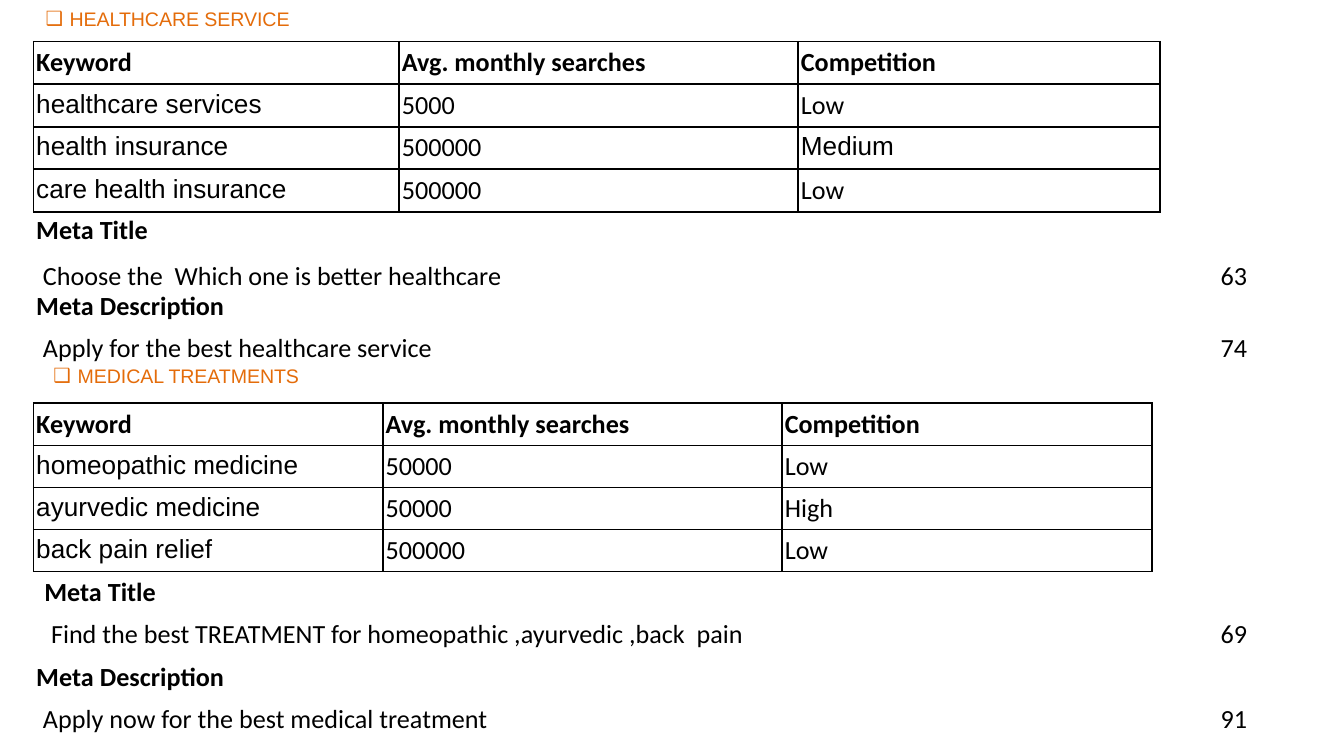
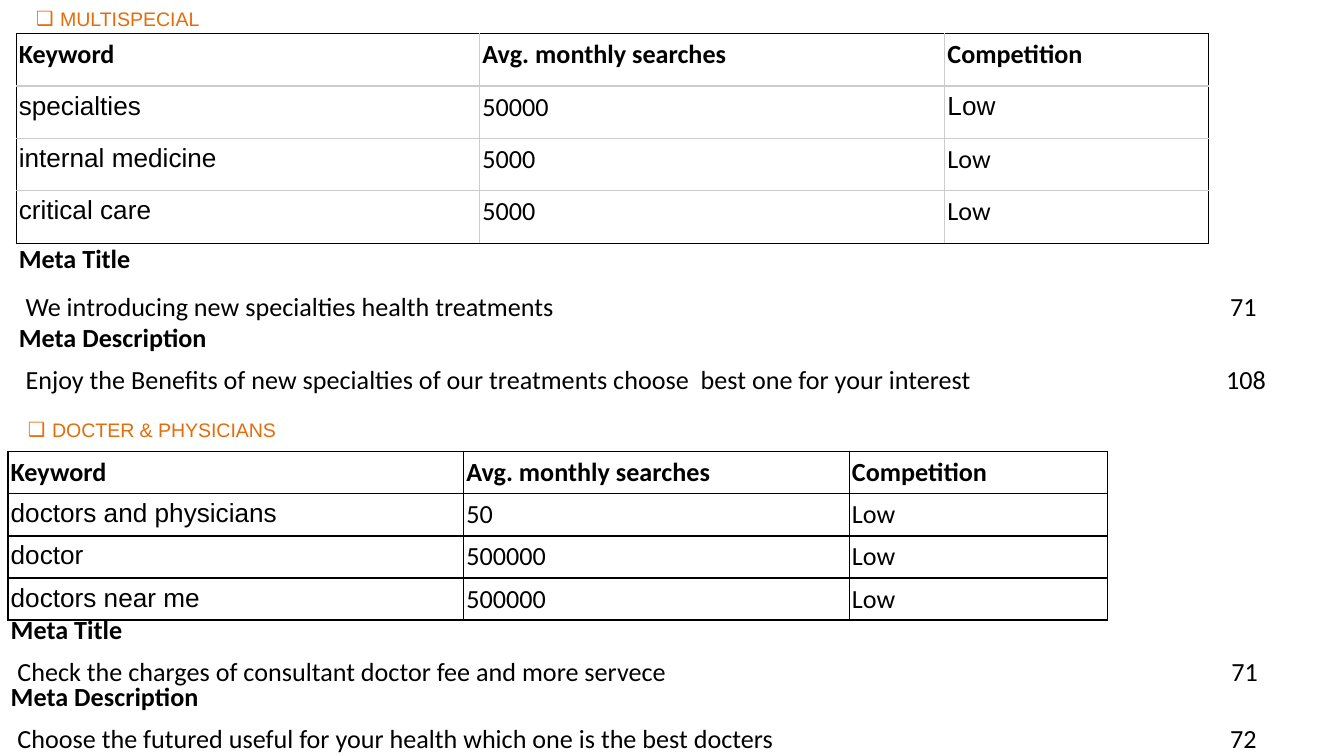
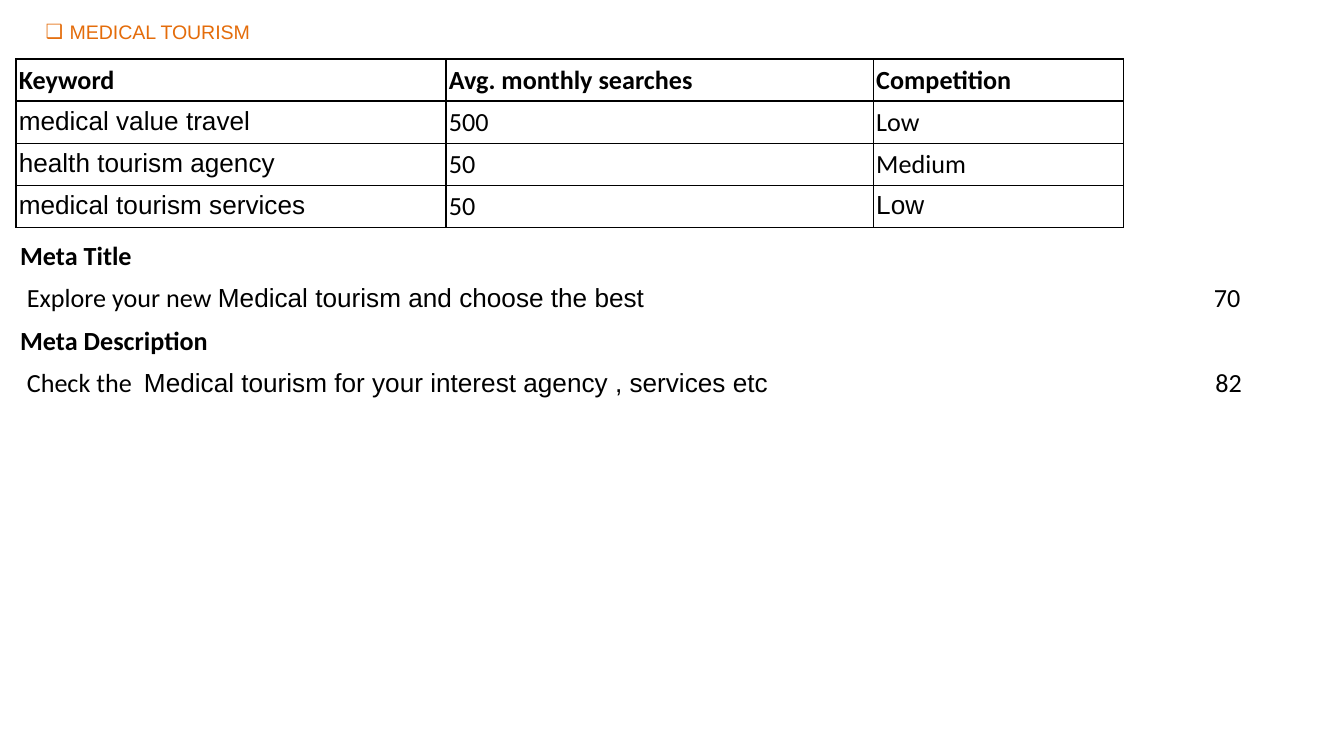
from dataclasses import dataclass

from lxml.etree import SubElement
from pptx import Presentation
from pptx.dml.color import RGBColor
from pptx.enum.text import MSO_AUTO_SIZE, PP_ALIGN
from pptx.oxml.ns import qn
from pptx.util import Inches, Pt

BLACK = RGBColor(0x00, 0x00, 0x00)
GREY = RGBColor(0xCC, 0xCC, 0xCC)
ORANGE = RGBColor(0xE4, 0x6C, 0x0A)

BODY_FONT = "Calibri"
KEYWORD_FONT = "Arial"
BODY_SIZE = 14
PLAIN_STYLE = "{2D5ABB26-0587-4C30-8999-92F81FD0307C}"
KEYWORD_HEADERS = ("Keyword", "Avg. monthly searches", "Competition")
ROW = 0.31


@dataclass
class MetaTable:
    """A label over one line of text, with its character count at the right."""
    label: str
    runs: list
    count: str
    offset: tuple
    columns: tuple
    rows: tuple = (ROW, ROW)


@dataclass
class Section:
    """A heading, a keyword table and its meta tables; offsets start at left, top."""
    heading: str
    left: float
    top: float
    heading_width: float
    table_offset: float
    columns: tuple
    keywords: list
    metas: list
    heading_shift: float = 0
    row_height: float = ROW
    inner_color: RGBColor = BLACK
    border_width: float = 0.96


def add_run(paragraph, text, font=BODY_FONT, size=BODY_SIZE, color=BLACK, bold=False):
    run = paragraph.add_run()
    run.text = text
    run.font.name = font
    run.font.size = Pt(size)
    run.font.color.rgb = color
    run.font.bold = bold


def add_heading(slide, text, left, top, width):
    shape = slide.shapes.add_textbox(Inches(left), Inches(top), Inches(width), Inches(0.28))
    shape.text_frame.word_wrap = True
    shape.text_frame.auto_size = MSO_AUTO_SIZE.SHAPE_TO_FIT_TEXT
    paragraph = shape.text_frame.paragraphs[0]
    # Square bullet with a hanging indent
    properties = paragraph._p.get_or_add_pPr()
    properties.set("marL", str(Inches(0.23)))
    properties.set("indent", str(Inches(-0.18)))
    bullet_color = SubElement(properties, qn("a:buClr"))
    SubElement(bullet_color, qn("a:srgbClr"), val=str(ORANGE))
    SubElement(properties, qn("a:buFont"), typeface=KEYWORD_FONT)
    SubElement(properties, qn("a:buChar"), char="❑")
    add_run(paragraph, text, KEYWORD_FONT, 10.5, ORANGE)


def add_plain_table(slide, left, top, columns, rows):
    frame = slide.shapes.add_table(
        len(rows), len(columns), Inches(left), Inches(top),
        Inches(sum(columns)), Inches(sum(rows)))
    table = frame.table
    table.first_row = table.horz_banding = False
    table._tbl.tblPr.find(qn("a:tableStyleId")).text = PLAIN_STYLE
    for column, width in zip(table.columns, columns):
        column.width = Inches(width)
    for row, height in zip(table.rows, rows):
        row.height = Inches(height)
    for cell in table.iter_cells():
        cell.fill.background()
        set_margins(cell, 0.02)
    return table


def set_margins(cell, side):
    cell.margin_left = cell.margin_right = Inches(side)
    cell.margin_top = cell.margin_bottom = Inches(0.04)


def set_borders(cell, colors, width):
    properties = cell._tc.get_or_add_tcPr()
    for position, (side, color) in enumerate(colors.items()):
        line = SubElement(properties, qn(f"a:ln{side}"), w=str(Pt(width)))
        fill = SubElement(line, qn("a:solidFill"))
        SubElement(fill, qn("a:srgbClr"), val=str(color))
        properties.insert(position, line)  # borders come before the cell fill


def add_keyword_table(slide, section):
    content = [KEYWORD_HEADERS] + section.keywords
    last_row, last_column = len(content) - 1, len(section.columns) - 1
    table = add_plain_table(slide, section.left, section.top + section.table_offset,
                            section.columns, [section.row_height] * len(content))
    for row, values in enumerate(content):
        for column, value in enumerate(values):
            cell = table.cell(row, column)
            # A value is plain text, or text with its own font
            default_font = KEYWORD_FONT if row and column == 0 else BODY_FONT
            text, font = value if isinstance(value, tuple) else (value, default_font)
            add_run(cell.text_frame.paragraphs[0], text, font, bold=row == 0)
            on_edge = {"L": column == 0, "R": column == last_column,
                       "T": row == 0, "B": row == last_row}
            colors = {side: BLACK if edge else section.inner_color
                      for side, edge in on_edge.items()}
            set_borders(cell, colors, section.border_width)


def add_meta_table(slide, meta, left, top):
    table = add_plain_table(slide, left, top, meta.columns, meta.rows)
    add_run(table.cell(0, 0).text_frame.paragraphs[0], meta.label, bold=True)
    text_cell = table.cell(1, 0)
    set_margins(text_cell, 0.07)
    for text, font in meta.runs:
        add_run(text_cell.text_frame.paragraphs[0], text, font)
    count_paragraph = table.cell(1, len(meta.columns) - 1).text_frame.paragraphs[0]
    count_paragraph.alignment = PP_ALIGN.RIGHT
    add_run(count_paragraph, meta.count)
    # Empty cells keep the body size so that rows do not grow
    for cell in table.iter_cells():
        if not cell.text:
            SubElement(cell.text_frame.paragraphs[0]._p, qn("a:endParaRPr"),
                       sz=str(BODY_SIZE * 100))


def add_section(slide, section):
    add_keyword_table(slide, section)
    for meta in section.metas:
        shift, drop = meta.offset
        add_meta_table(slide, meta, section.left + shift, section.top + drop)
    add_heading(slide, section.heading, section.left + section.heading_shift,
                section.top, section.heading_width)


def title(text, *layout):
    return MetaTable("Meta Title", as_runs(text), *layout)


def description(text, *layout):
    return MetaTable("Meta Description", as_runs(text), *layout)


def as_runs(text):
    return [(text, BODY_FONT)] if isinstance(text, str) else text


SLIDES = [
    [
        Section(
            "HEALTHCARE SERVICE", 0.25, 0, 5.45, 0.31, (2.72, 2.97, 2.69),
            [("healthcare services", "5000", "Low"),
             ("health insurance", "500000", ("Medium", KEYWORD_FONT)),
             ("care health insurance", "500000", "Low")],
            [title("Choose the  Which one is better healthcare", "63",
                   (0, 1.56), (6.81, 0.27, 0.82, 1.15), (0.34, 0.35)),
             description("Apply for the best healthcare service", "74",
                         (0, 2.12), (6.97, 0.33, 0.29, 1.46))],
            heading_shift=-0.06),
        Section(
            "MEDICAL TREATMENTS", 0.25, 2.66, 5.17, 0.34, (2.6, 2.97, 2.75),
            [("homeopathic medicine", "50000", "Low"),
             ("ayurvedic medicine", "50000", "High"),
             ("back pain relief", "500000", "Low")],
            [title("Find the best TREATMENT for homeopathic ,ayurvedic ,back  pain", "69",
                   (0.06, 1.59), (6.82, 0.51, 0.57, 1.09)),
             description("Apply now for the best medical treatment", "91",
                         (0, 2.22), (7.76, 0.27, 0.34, 0.68))]),
    ],
    [
        Section(
            "MULTISPECIAL", 0.12, 0, 5.6, 0.25, (3.45, 3.46, 1.96),
            [("specialties", "50000", ("Low", KEYWORD_FONT)),
             ("internal medicine", "5000", "Low"),
             ("critical care", "5000", "Low")],
            [title("We introducing new specialties health treatments", "71",
                   (0, 1.77), (8, 0.28, 0.28, 0.69), (0.36, 0.37)),
             description("Enjoy the Benefits of new specialties of our treatments choose"
                         "  best one for your interest", "108",
                         (0, 2.36), (8.38, 0.08, 0.14, 0.13, 0.09, 0.08, 0.42), (ROW, 0.48))],
            row_height=0.39, inner_color=GREY, border_width=0.75),
        Section(
            "DOCTER & PHYSICIANS", 0.06, 3.06, 3.41, 0.3, (3.39, 2.87, 1.92),
            [("doctors and physicians", "50", "Low"),
             ("doctor", "500000", "Low"),
             ("doctors near me", "500000", "Low")],
            [title("Check the charges of consultant doctor fee and more servece", "71",
                   (0, 1.47), (6.6, 0.45, 0.42, 1.85)),
             description("Choose the futured useful for your health which one is the best docters",
                         "72", (0, 1.97), (7.48, 0.14, 0.28, 1.41))]),
    ],
    [
        Section(
            "MEDICAL TOURISM", 0.12, 0.1, 5.19, 0.34, (3.2, 3.18, 1.86),
            [("medical value travel", "500", "Low"),
             ("health tourism agency", "50", "Medium"),
             ("medical tourism services", "50", ("Low", KEYWORD_FONT))],
            [title([("Explore your new ", BODY_FONT),
                    ("Medical tourism and choose the best", KEYWORD_FONT)], "70",
                   (0.01, 1.65), (6.68, 0.26, 0.32, 0.34, 1.52), (ROW, 0.77)),
             description([("Check the  ", BODY_FONT),
                          ("Medical tourism for your interest agency , services etc",
                           KEYWORD_FONT)], "82",
                         (0.01, 2.28), (7.75, 0.14, 0.21, 0.14, 0.89))],
            heading_shift=0.07),
    ],
]


def main():
    presentation = Presentation()
    # 16:9 page
    presentation.slide_width = Inches(10)
    presentation.slide_height = Inches(10 * 9 / 16)
    for sections in SLIDES:
        slide = presentation.slides.add_slide(presentation.slide_layouts[6])
        for section in sections:
            add_section(slide, section)
    presentation.save("out.pptx")


if __name__ == "__main__":
    main()
